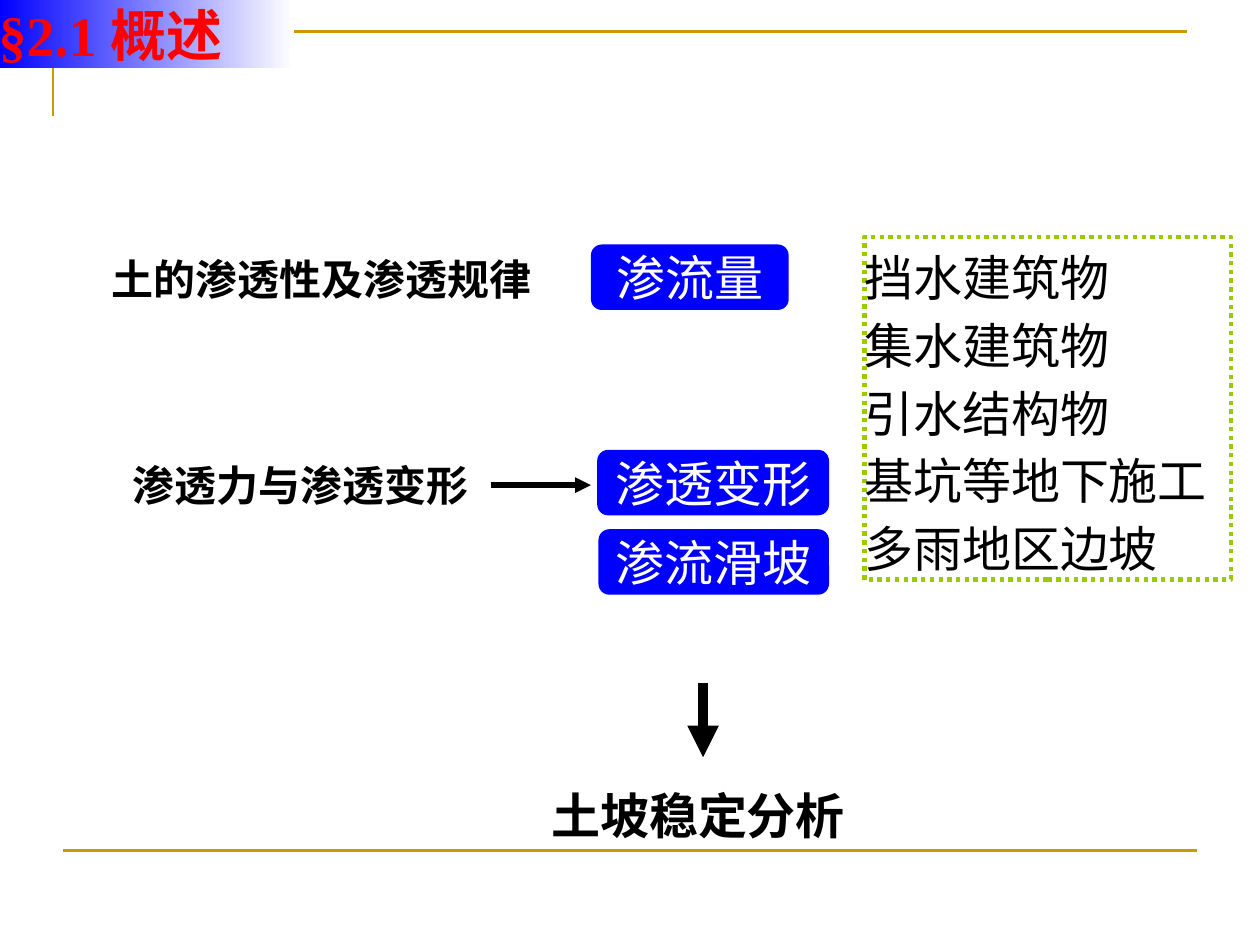
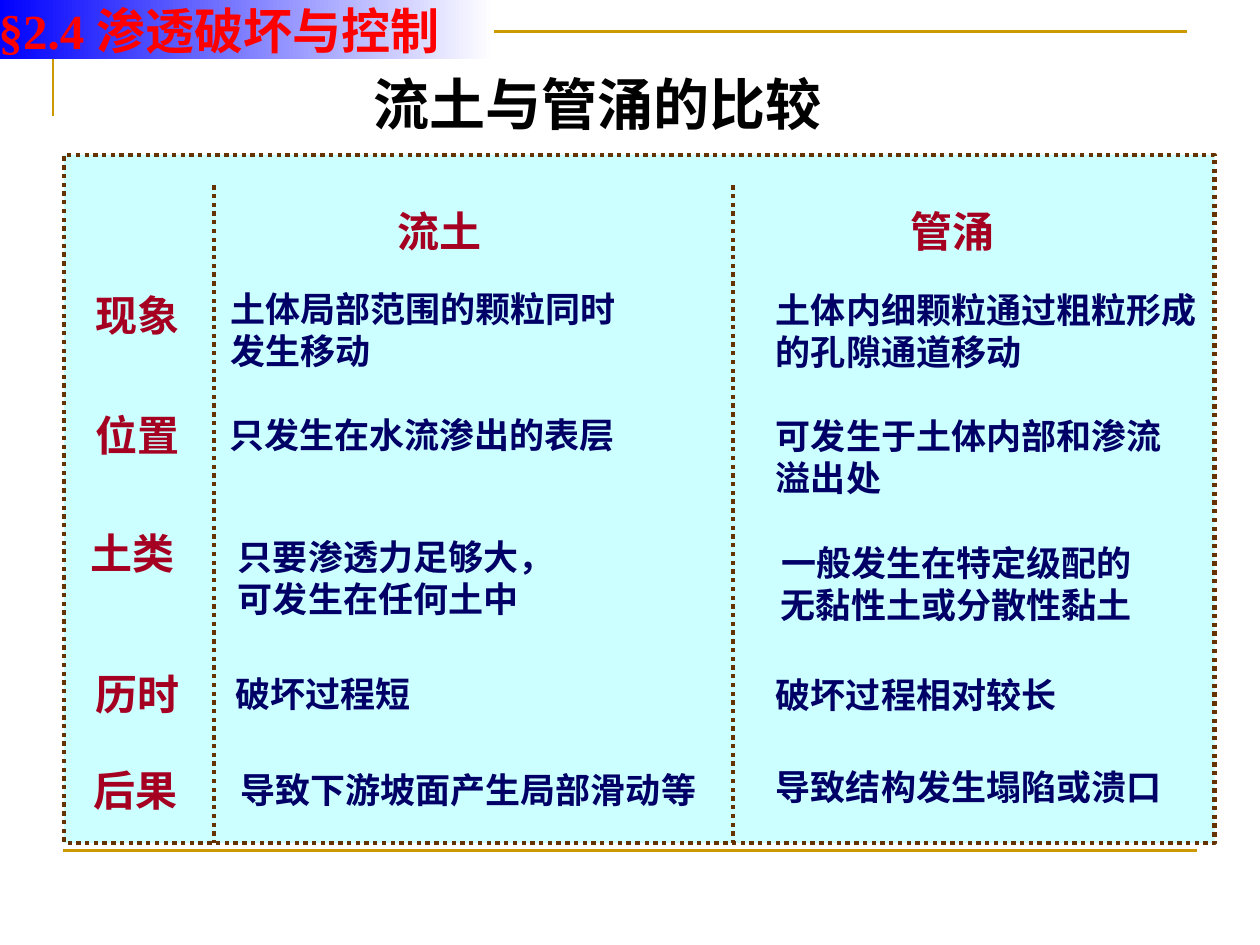
from lxml import etree
from pptx import Presentation
from pptx.dml.color import RGBColor
from pptx.enum.dml import MSO_LINE
from pptx.enum.shapes import MSO_CONNECTOR, MSO_SHAPE
from pptx.enum.text import MSO_ANCHOR, PP_ALIGN
from pptx.oxml.ns import qn
from pptx.util import Pt

PX = 9144
RECT, ROUND = MSO_SHAPE.RECTANGLE, MSO_SHAPE.ROUNDED_RECTANGLE
STRAIGHT = MSO_CONNECTOR.STRAIGHT
DOT = MSO_LINE.ROUND_DOT
MIDDLE, TOP = MSO_ANCHOR.MIDDLE, MSO_ANCHOR.TOP
LEFT, CENTER = PP_ALIGN.LEFT, PP_ALIGN.CENTER

GOLD = RGBColor(0xCC, 0x99, 0x00)
BLUE = RGBColor(0x00, 0x00, 0xFF)
WHITE = RGBColor(0xFF, 0xFF, 0xFF)
BLACK = RGBColor(0x00, 0x00, 0x00)
RED = RGBColor(0xFF, 0x00, 0x00)
GREEN = RGBColor(0x99, 0xCC, 0x00)
CYAN = RGBColor(0xCC, 0xFF, 0xFF)
BROWN = RGBColor(0x66, 0x33, 0x00)
CRIMSON = RGBColor(0xA5, 0x00, 0x21)
NAVY = RGBColor(0x00, 0x00, 0x66)

CJK, ARIAL, TIMES = "Noto Sans CJK SC", "Arial", "Times New Roman"


def add_box(s, kind, at, text, size, font, color, bold=True, align=LEFT,
            anchor=MIDDLE, inset=(0, 0), wrap=True):
    sp = s.shapes.add_shape(kind, *[v * PX for v in at])
    sp.shadow.inherit = False
    sp.fill.background()
    sp.line.fill.background()
    tf = sp.text_frame
    tf.word_wrap = wrap
    tf.vertical_anchor = anchor
    tf.margin_left = tf.margin_right = inset[0] * PX
    tf.margin_top = tf.margin_bottom = inset[1] * PX
    tf.text = text
    for p in tf.paragraphs:
        p.alignment = align
        for r in p.runs:
            r.font.size = Pt(size)
            r.font.name = font
            r.font.bold = bold
            r.font.color.rgb = color
            r.font._element.find(qn("a:latin")).addnext(
                etree.Element(qn("a:ea"), typeface=CJK))
    return sp


def add_line(s, ends, color, width, dash=None, arrow=False):
    c = s.shapes.add_connector(STRAIGHT, *[v * PX for v in ends])
    c.line.color.rgb = color
    c.line.width = Pt(width)
    if dash:
        c.line.dash_style = dash
    if arrow:
        etree.SubElement(c.line._get_or_add_ln(), qn("a:tailEnd"), type="triangle")
    etree.SubElement(c._element.spPr, qn("a:effectLst"))


prs = Presentation()
prs.slide_width, prs.slide_height = 1000 * PX, 750 * PX

slides = []
for title, width, height, size in [("§2.1 概述", 234, 54, 32),
                                   ("§2.4 渗透破坏与控制", 393, 47, 28)]:
    s = prs.slides.add_slide(prs.slide_layouts[6])
    slides.append(s)
    fb = s.shapes.build_freeform(42, 92, scale=PX)
    fb.add_line_segments([(42, 25), (942, 25)], close=False)
    sp = fb.convert_to_shape()
    sp.shadow.inherit = False
    sp.fill.background()
    sp.line.color.rgb = GOLD
    sp.line.width = Pt(1.5)
    add_line(s, (50, 675, 950, 675), GOLD, 1.5)

    sp = add_box(s, RECT, (-1, 0, width, height), title, size, TIMES, RED)
    sp.fill.gradient()
    sp.fill.gradient_angle = 0
    for stop, position, color in zip(sp.fill.gradient_stops, (0, 1), (BLUE, WHITE)):
        stop.position = position
        stop.color.rgb = color

s = slides[0]
for at, text in [((469, 194, 157, 52), "渗流量"),
                 ((474, 357, 184, 52), "渗透变形"),
                 ((475, 420, 183, 52), "渗流滑坡")]:
    sp = add_box(s, ROUND, at, text, 28, ARIAL, WHITE, bold=False, align=CENTER)
    sp.fill.solid()
    sp.fill.fore_color.rgb = BLUE

for kind, at, text, size, font in [
        (ROUND, (75, 194, 360, 55), "土的渗透性及渗透规律", 24, ARIAL),
        (ROUND, (98, 357, 281, 55), "渗透力与渗透变形", 24, ARIAL),
        (RECT, (424, 618, 260, 57), "土坡稳定分析", 28, CJK)]:
    add_box(s, kind, at, text, size, font, BLACK, align=CENTER, inset=(0, 5))

add_line(s, (390, 385, 469, 385), BLACK, 3, arrow=True)
add_line(s, (558, 542, 558, 601), BLACK, 6, arrow=True)

works = ["挡水建筑物", "集水建筑物", "引水结构物", "基坑等地下施工", "多雨地区边坡"]
sp = add_box(s, RECT, (686, 188, 291, 272), "\n".join(works), 28, CJK, BLACK, bold=False)
sp.line.color.rgb = GREEN
sp.line.width = Pt(2.5)
sp.line.dash_style = DOT
for p in sp.text_frame.paragraphs:
    p.line_spacing = 1.15

s = slides[1]
panel = s.shapes.add_shape(RECT, 51 * PX, 123 * PX, 913 * PX, 546 * PX)
panel.shadow.inherit = False
panel.fill.solid()
panel.fill.fore_color.rgb = CYAN
panel.line.color.rgb = BROWN
panel.line.width = Pt(2.5)
panel.line.dash_style = DOT
for x in (582, 170):
    add_line(s, (x, 147, x, 669), BROWN, 2.5, dash=DOT)

add_box(s, ROUND, (283, 46, 407, 71), "流土与管涌的比较", 32, CJK, BLACK,
        inset=(10, 5), wrap=False)

for x, y, text in [(306, 158, "流土"), (713, 158, "管涌"), (66, 225, "现象"),
                   (66, 320, "位置"), (62, 414, "土类"), (66, 526, "历时"),
                   (64, 602, "后果")]:
    add_box(s, RECT, (x, y, 99, 50), text, 24, TIMES, CRIMSON, anchor=TOP, inset=(10, 5))

for x, y, width, height, text, font, align in [
        (173, 223, 350, 77, "土体局部范围的颗粒同时发生移动", CJK, LEFT),
        (172, 323, 334, 43, "只发生在水流渗出的表层", CJK, LEFT),
        (179, 420, 289, 77, "只要渗透力足够大，可发生在任何土中", CJK, LEFT),
        (177, 529, 163, 43, "破坏过程短", CJK, LEFT),
        (181, 605, 387, 43, "导致下游坡面产生局部滑动等", CJK, LEFT),
        (606, 224, 369, 77, "土体内细颗粒通过粗粒形成的孔隙通道移动", CJK, LEFT),
        (606, 324, 335, 77, "可发生于土体内部和渗流溢出处", CJK, LEFT),
        (599, 425, 320, 77, "一般发生在特定级配的无黏性土或分散性黏土", TIMES, CENTER),
        (606, 530, 246, 43, "破坏过程相对较长", CJK, LEFT),
        (606, 603, 333, 43, "导致结构发生塌陷或溃口", CJK, LEFT)]:
    add_box(s, RECT, (x, y, width, height), text, 20, font, NAVY, align=align,
            anchor=TOP, inset=(10, 5))

prs.save("out.pptx")
